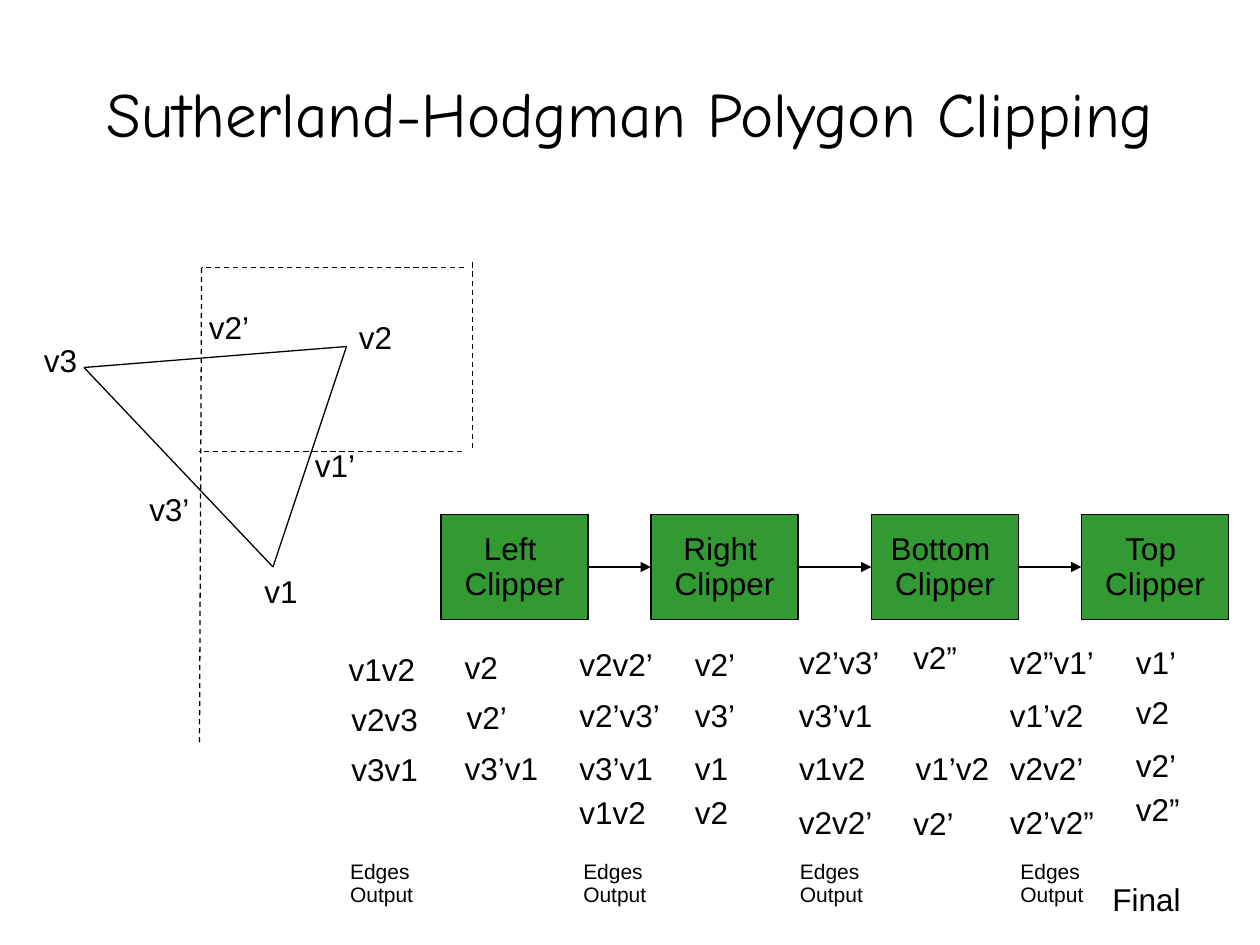
"""Build a slide that traces a triangle through the Sutherland-Hodgman clipping stages."""
from dataclasses import dataclass
from itertools import pairwise
from typing import Any, Optional

from lxml.etree import SubElement
from pptx import Presentation
from pptx.dml.color import RGBColor
from pptx.enum.dml import MSO_LINE
from pptx.enum.shapes import MSO_CONNECTOR, MSO_SHAPE
from pptx.enum.text import MSO_ANCHOR, MSO_AUTO_SIZE, PP_ALIGN
from pptx.oxml.ns import qn
from pptx.util import Pt

COLORS = {"ink": "000000", "clipper": "339933"}
GLYPH_WIDTHS = {"v": 9, "’": 4, "”": 6, "F": 11, "i": 4, "l": 4}
DIGIT_WIDTH = 10
INSETS = {"margin_left": Pt(7.2), "margin_right": Pt(7.2), "margin_top": Pt(3.6), "margin_bottom": Pt(3.6)}
LABEL_FRAME = {**INSETS, "word_wrap": False, "auto_size": MSO_AUTO_SIZE.SHAPE_TO_FIT_TEXT,
               "vertical_anchor": MSO_ANCHOR.TOP}
CLIPPER_FRAME = {**INSETS, "word_wrap": False, "vertical_anchor": MSO_ANCHOR.MIDDLE}
TITLE_FRAME = {**dict.fromkeys(INSETS, 0), "word_wrap": True, "vertical_anchor": MSO_ANCHOR.MIDDLE}
LEFT = {"alignment": PP_ALIGN.LEFT, "line_spacing": 0.93}
CENTER = {"alignment": PP_ALIGN.CENTER, "line_spacing": 0.93}
TITLE_FONT = {"name": "Comic Neue", "size": Pt(36)}
BODY_FONT = {"name": "Arial", "size": Pt(18)}
CAPTION_FONT = {"name": "Arial", "size": Pt(12)}

CLIPPER_TOP, CLIPPER_WIDTH, CLIPPER_HEIGHT = 294, 84, 60
CAPTION_TOP, CAPTION_HEIGHT, LABEL_HEIGHT = 488.2, 20.9, 27.2


@dataclass(frozen=True)
class Segment:
    start: tuple[float, float]
    end: tuple[float, float]
    dashed: bool = False
    arrow: bool = False


@dataclass(frozen=True)
class Column:
    left: float
    tops: tuple[float, ...]
    texts: tuple[str, ...]


@dataclass(frozen=True)
class Clipper:
    name: str
    left: float


@dataclass(frozen=True)
class Caption:
    left: float
    width: float
    tab: float


TRIANGLE = ((48, 210), (156, 324), (198, 198))
WINDOW = (
    Segment((115.2, 153), (114, 426), dashed=True),
    Segment((265, 153), (115.2, 153), dashed=True),
    Segment((264, 258), (114, 258), dashed=True),
    Segment((270, 150), (270, 258), dashed=True),
)
CLIPPERS = (Clipper("Left", 252), Clipper("Right", 372), Clipper("Bottom", 498), Clipper("Top", 618))
CAPTIONS = (Caption(193, 117.4, 67.3), Caption(326.2, 107.3, 57.3),
            Caption(450, 107.3, 57.3), Caption(576, 107.3, 57.3))
RIGHT_ROWS = (367.2, 396, 426.2, 451.4)
BOTTOM_ROWS = (365.8, 396, 426.2, 457.2)
COLUMNS = (
    Column(198, (180,), ("v2",)),
    Column(144, (325.4,), ("v1",)),
    Column(18, (193,), ("v3",)),
    Column(172.8, (253.4,), ("v1’",)),
    Column(112.3, (174.2,), ("v2’",)),
    Column(78.2, (278.6,), ("v3’",)),
    Column(192.2, (370.1,), ("v1v2",)),
    Column(193.7, (398.2, 427), ("v2v3", "v3v1")),
    Column(258.5, (368.6, 426.2), ("v2", "v3’v1")),
    Column(259.5, (397.4,), ("v2’",)),
    Column(324, RIGHT_ROWS, ("v2v2’", "v2’v3’", "v3’v1", "v1v2")),
    Column(390, RIGHT_ROWS, ("v2’", "v3’", "v1", "v2")),
    Column(449.5, BOTTOM_ROWS, ("v2’v3’", "v3’v1", "v1v2", "v2v2’")),
    Column(514.8, (362.9, 457.9), ("v2”", "v2’")),
    Column(516.2, (426.2,), ("v1’v2",)),
    Column(570, BOTTOM_ROWS, ("v2”v1’", "v1’v2", "v2v2’", "v2’v2”")),
    Column(642, (365.8, 394.6, 424.8, 450), ("v1’", "v2", "v2’", "v2”")),
    Column(628.6, (501.1,), ("Final",)),
)


def apply(target: Any, values: dict[str, Any]) -> None:
    """Set every attribute named in values."""
    for name, value in values.items():
        setattr(target, name, value)


def color(name: str) -> RGBColor:
    """Look up a named colour."""
    return RGBColor.from_string(COLORS[name])


def write(shape: Any, text: str, frame: dict, layout: dict, font: dict, tab: Optional[float] = None) -> None:
    """Fill a shape with formatted paragraphs, one for each line of text."""
    text_frame = shape.text_frame
    text_frame.text = text
    apply(text_frame, frame)
    for paragraph in text_frame.paragraphs:
        apply(paragraph, layout)
        if tab is not None:
            tab_list = SubElement(paragraph._p.get_or_add_pPr(), qn("a:tabLst"))
            SubElement(tab_list, qn("a:tab"), pos=str(int(Pt(tab))), algn="l")
        for run in paragraph.runs:
            apply(run.font, font)
            run.font.color.rgb = color("ink")


def draw_segment(slide: Any, segment: Segment) -> None:
    """Draw a thin line, dashed or with an arrowhead when asked."""
    points = [Pt(value) for value in (*segment.start, *segment.end)]
    connector = slide.shapes.add_connector(MSO_CONNECTOR.STRAIGHT, *points)
    connector.line.width = Pt(0.75)
    connector.line.color.rgb = color("ink")
    if segment.dashed:
        connector.line.dash_style = MSO_LINE.DASH
    if segment.arrow:
        SubElement(connector.line._get_or_add_ln(), qn("a:tailEnd"), type="triangle")
    SubElement(connector._element.spPr, qn("a:effectLst"))


def draw_clipper(slide: Any, clipper: Clipper) -> None:
    """Draw one stage of the clipping pipeline."""
    shape = slide.shapes.add_shape(MSO_SHAPE.RECTANGLE, Pt(clipper.left), Pt(CLIPPER_TOP),
                                   Pt(CLIPPER_WIDTH), Pt(CLIPPER_HEIGHT))
    shape.shadow.inherit = False
    shape.fill.solid()
    shape.fill.fore_color.rgb = color("clipper")
    shape.line.color.rgb = color("ink")
    shape.line.width = Pt(0.75)
    write(shape, f"{clipper.name} \nClipper", CLIPPER_FRAME, CENTER, BODY_FONT)


def draw_column(slide: Any, column: Column) -> None:
    """Draw left-aligned labels below one another."""
    for top, text in zip(column.tops, column.texts):
        width = 14.4 + sum(GLYPH_WIDTHS.get(glyph, DIGIT_WIDTH) for glyph in text)
        label = slide.shapes.add_textbox(Pt(column.left), Pt(top), Pt(width), Pt(LABEL_HEIGHT))
        write(label, text, LABEL_FRAME, LEFT, BODY_FONT)


def draw_caption(slide: Any, caption: Caption) -> None:
    """Draw the two headings under one stage, parted by a tab."""
    box = slide.shapes.add_textbox(Pt(caption.left), Pt(CAPTION_TOP), Pt(caption.width), Pt(CAPTION_HEIGHT))
    write(box, "Edges\tOutput", LABEL_FRAME, LEFT, CAPTION_FONT, caption.tab)


def main() -> None:
    """Build and save the slide."""
    presentation = Presentation()
    apply(presentation, {"slide_width": Pt(720), "slide_height": Pt(540)})
    slide = presentation.slides.add_slide(presentation.slide_layouts[6])
    title = slide.shapes.add_textbox(Pt(36), Pt(21.6), Pt(648), Pt(90))
    write(title, "Sutherland-Hodgman Polygon Clipping", TITLE_FRAME, CENTER, TITLE_FONT)
    edges = [Segment(start, end) for start, end in pairwise((*TRIANGLE, TRIANGLE[0]))]
    middle = CLIPPER_TOP + CLIPPER_HEIGHT / 2 
    arrows = [Segment((before.left + CLIPPER_WIDTH, middle), (after.left, middle), arrow=True)
              for before, after in pairwise(CLIPPERS)]
    for clipper in CLIPPERS:
        draw_clipper(slide, clipper)
    for segment in (*WINDOW, *edges, *arrows):
        draw_segment(slide, segment)
    for column in COLUMNS:
        draw_column(slide, column)
    for caption in CAPTIONS:
        draw_caption(slide, caption)
    presentation.save("out.pptx")


if __name__ == "__main__":
    main()
